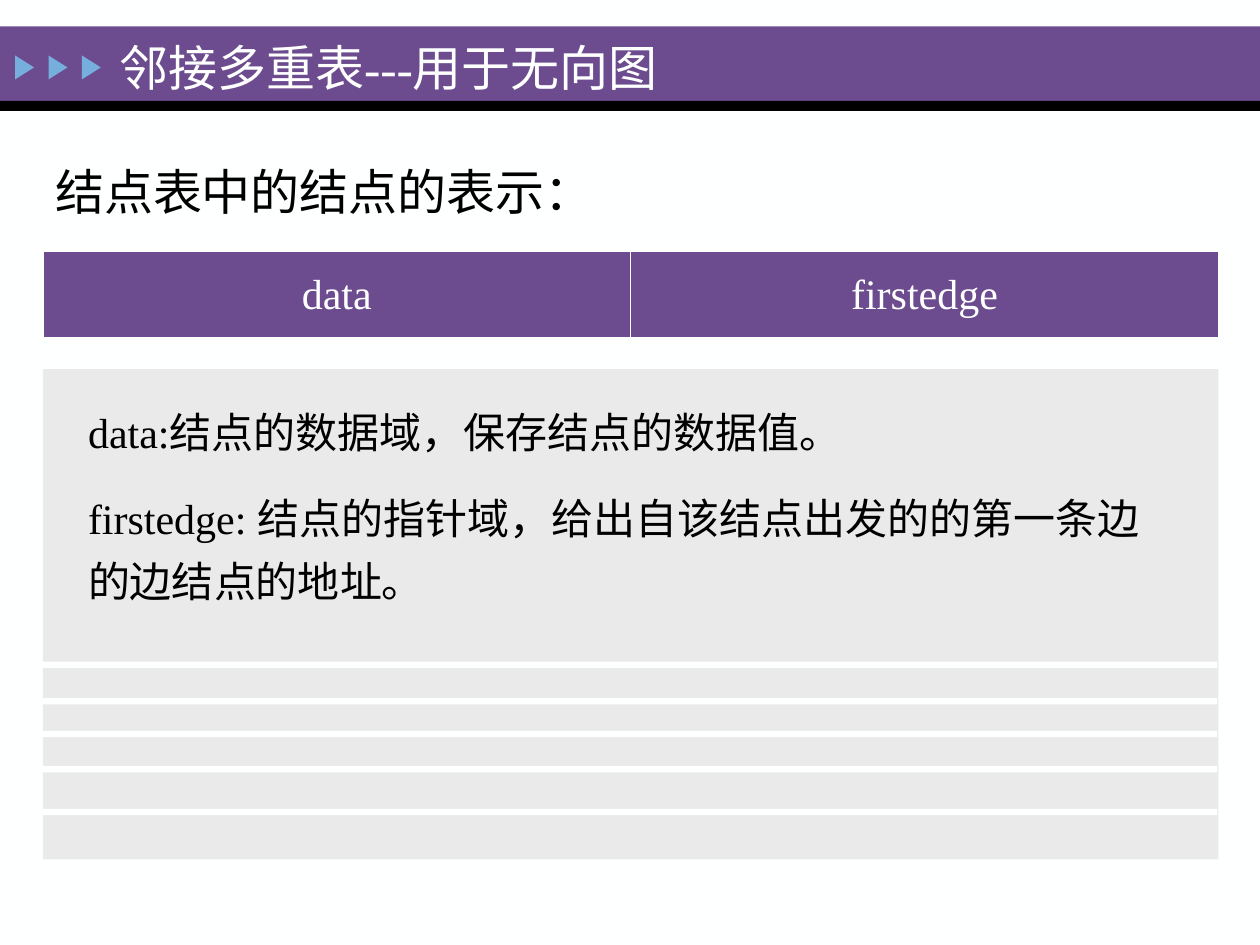
from lxml.etree import SubElement
from pptx import Presentation
from pptx.dml.color import RGBColor
from pptx.enum.shapes import MSO_SHAPE
from pptx.enum.text import MSO_ANCHOR, PP_ALIGN
from pptx.oxml.ns import qn
from pptx.util import Inches, Pt

WHITE = RGBColor(0xFE, 0xFF, 0xFF)
BLACK = RGBColor(0, 0, 0)
PURPLE = RGBColor(0x6C, 0x4C, 0x8F)
BLUE = RGBColor(0x76, 0xAE, 0xDD)
GRAY = RGBColor(0xEA, 0xEA, 0xEA)
FONT = "Times New Roman"


def style(font, size, color):
    """Set the font from a dict of values."""
    for key, value in {"name": FONT, "size": Pt(size)}.items():
        setattr(font, key, value)
    font.color.rgb = color


def add_block(slide, box, fill, kind=MSO_SHAPE.RECTANGLE):
    """Draw a plain filled shape in the box."""
    shape = slide.shapes.add_shape(kind, *map(Inches, box))
    shape.shadow.inherit = False
    shape.fill.solid()
    shape.fill.fore_color.rgb = fill
    shape.line.fill.background()
    return shape


def add_text(slide, box, lines, size, color, anchor=MSO_ANCHOR.TOP, **form):
    """Write one paragraph per line in the box."""
    frame = slide.shapes.add_textbox(*map(Inches, box)).text_frame
    frame.word_wrap = True
    frame.vertical_anchor = anchor
    frame.text = "\n".join(lines)
    for i, para in enumerate(frame.paragraphs):
        style(para.font, size, color)
        for key, value in form.items():
            if i or key != "space_before":
                setattr(para, key, value)


def add_header(slide, box, title):
    """Draw the title band with its rule and three arrows."""
    left, top, width, height = box
    add_block(slide, (left, top, width, height), PURPLE)
    add_block(slide, (left, top + height, width, 0.08), BLACK)
    for i in range(3):
        mark = (left + 0.1 + i * 0.265, top + 0.25, 0.19, 0.15)
        add_block(slide, mark, BLUE, MSO_SHAPE.ISOSCELES_TRIANGLE).rotation = 90
    add_text(slide, (left + 0.85, top + 0.04, 5.43, 0.56), [title],
             28, WHITE, MSO_ANCHOR.MIDDLE)


def add_border(cell, widths):
    """Line the cell's sides with the given widths in points."""
    props = cell._tc.get_or_add_tcPr()
    for i, (side, width) in enumerate(widths.items()):
        line = props.makeelement(qn(f"a:ln{side}"), {"w": str(Pt(width))})
        fill = SubElement(line, qn("a:solidFill"))
        SubElement(fill, qn("a:srgbClr"), val=str(WHITE))
        props.insert(i, line)


def add_fields(slide, box, names):
    """Show the node's fields as a one-row table."""
    table = slide.shapes.add_table(1, len(names), *map(Inches, box)).table
    for cell, name in zip(table.iter_cells(), names):
        cell.text = name
        cell.vertical_anchor = MSO_ANCHOR.MIDDLE
        cell.fill.solid()
        cell.fill.fore_color.rgb = PURPLE
        add_border(cell, {"L": 1, "R": 1, "T": 1, "B": 3})
        para = cell.text_frame.paragraphs[0]
        para.alignment = PP_ALIGN.CENTER
        style(para.font, 24, WHITE)


def add_panel(slide, box, lines):
    """Draw the gray panel with its notes."""
    left, top, width, height = box
    add_block(slide, box, GRAY)
    add_text(slide, (left + 0.26, top + 0.15, 8.82, 1.82), lines, 24, BLACK,
             line_spacing=1.25, space_before=Pt(13))


def add_bands(slide, box, drops):
    """Cut the panel's foot with white bands."""
    left, top, width, height = box
    for drop in drops:
        add_block(slide, (left, top + drop, width, height), WHITE)


def main():
    """Build and save the slide."""
    deck = Presentation()
    deck.slide_width, deck.slide_height = Inches(10), Inches(7.5)
    slide = deck.slides.add_slide(deck.slide_layouts[6])
    slide.background.fill.solid()
    slide.background.fill.fore_color.rgb = WHITE
    add_header(slide, (0, 0.21, 10, 0.59), "邻接多重表---用于无向图")
    add_panel(slide, (0.34, 2.93, 9.33, 3.89), [
        "data:结点的数据域，保存结点的数据值。",
        "firstedge: 结点的指针域，给出自该结点出发的的第一条边的边结点的地址。",
    ])
    add_text(slide, (0.34, 1.23, 5, 0.57), ["结点表中的结点的表示："], 28, BLACK)
    add_fields(slide, (0.34, 1.99, 9.33, 0.7), ["data", "firstedge"])
    add_bands(slide, (0.33, 5.25, 9.33, 0.05), [0, 0.29, 0.55, 0.83, 1.17])
    deck.save("out.pptx")


if __name__ == "__main__":
    main()
